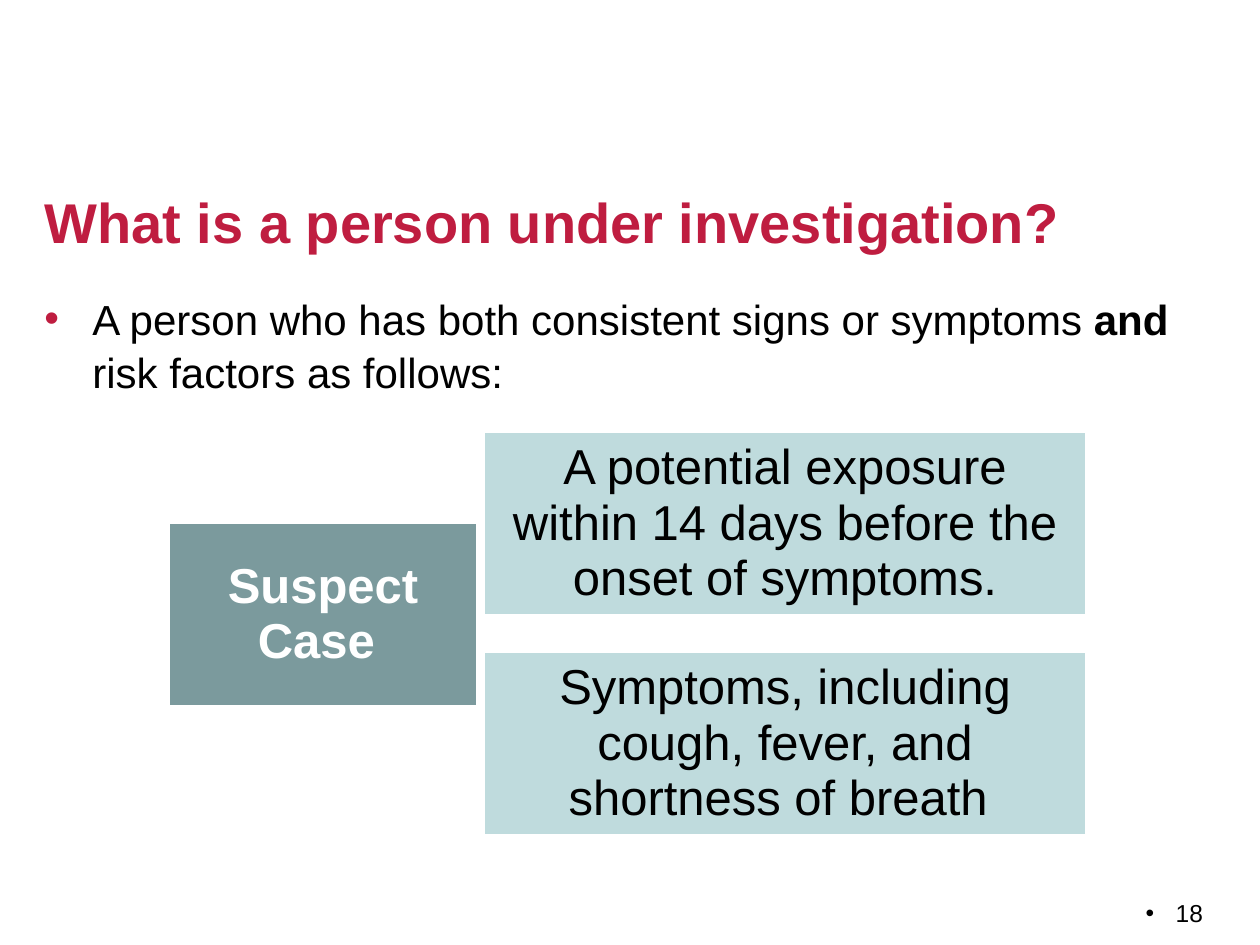
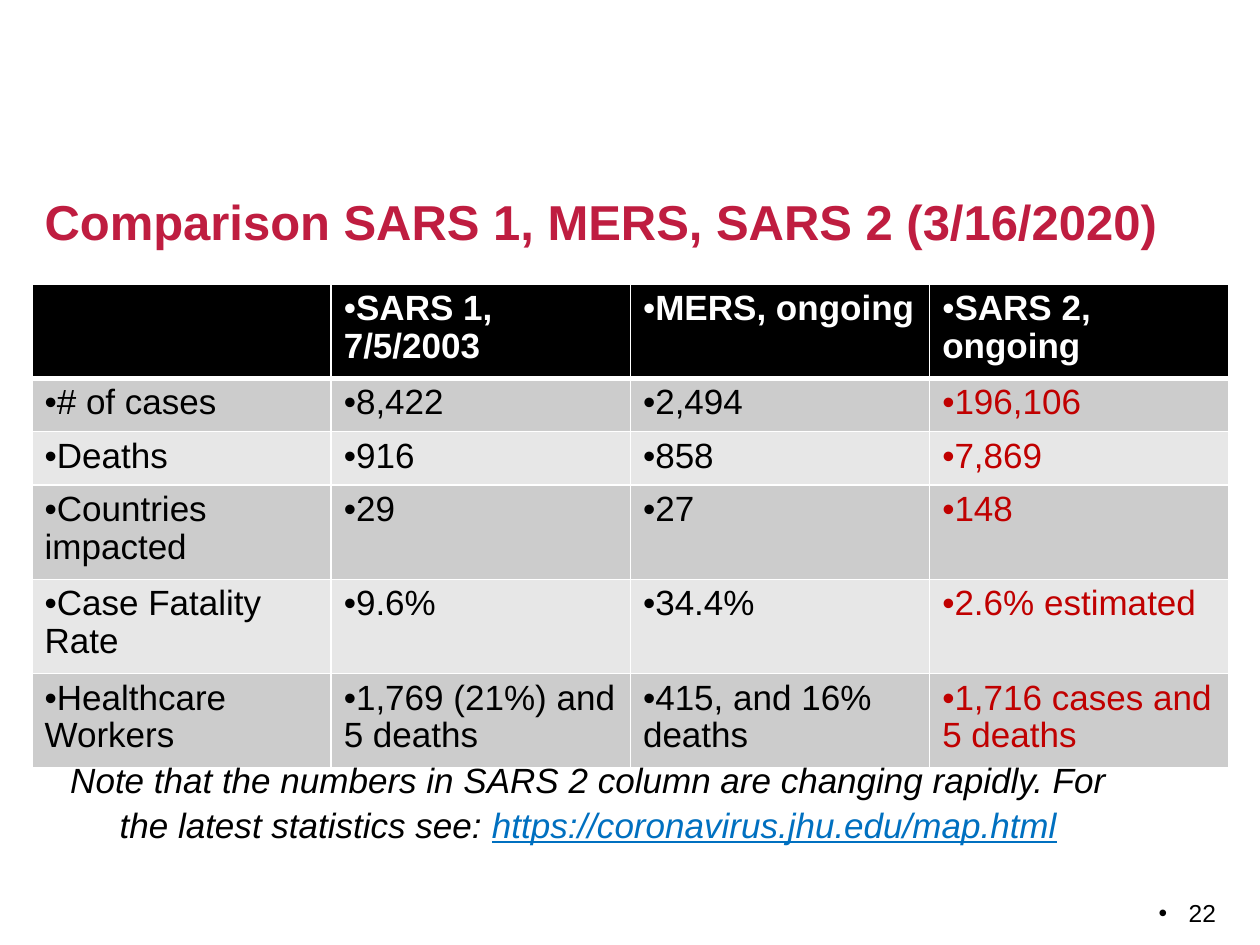
from lxml import etree
from pptx import Presentation
from pptx.dml.color import RGBColor
from pptx.enum.shapes import MSO_SHAPE
from pptx.enum.text import MSO_ANCHOR, PP_ALIGN
from pptx.oxml.ns import qn
from pptx.util import Emu, Pt

PX = 914400 / 126
FONT = "Arial"
RED = RGBColor(0xBF, 0x1D, 0x40)
ALERT = RGBColor(0xC0, 0x00, 0x00)
BLUE = RGBColor(0x00, 0x70, 0xC0)
TEAL = RGBColor(0x7B, 0x9A, 0x9D)
PALE = RGBColor(0xBF, 0xDB, 0xDD)
BLACK = RGBColor(0x00, 0x00, 0x00)
WHITE = RGBColor(0xFF, 0xFF, 0xFF)
DARK = RGBColor(0xCC, 0xCC, 0xCC)
LIGHT = RGBColor(0xE7, 0xE7, 0xE7)

ROWS = [
    ["", "SARS 1, 7/5/2003", "MERS, ongoing", "SARS 2, ongoing"],
    ["# of cases", "8,422", "2,494", "196,106"],
    ["Deaths", "916", "858", "7,869"],
    ["Countries impacted", "29", "27", "148"],
    ["Case Fatality Rate", "9.6%", "34.4%", "2.6% estimated"],
    ["Healthcare Workers", "1,769 (21%) and 5 deaths",
     "415, and 16% deaths", "1,716 cases and 5 deaths"],
]


def px(*sizes):
    return [Emu(round(size * PX)) for size in sizes]


def add_run(para, text, size, color=BLACK, bold=False, italic=False, line=False):
    run = para.add_run()
    run.text = text
    font = run.font
    font.name, font.size = FONT, Pt(size)
    font.bold, font.italic, font.underline = bold, italic, line
    font.color.rgb = color


def add_bullet(para, indent=0, color=None):
    """Give the paragraph a round bullet that hangs by indent px."""
    props = para._p.get_or_add_pPr()
    hang = round(indent * PX)
    props.set("marL", str(hang))
    props.set("indent", str(-hang))
    if color is not None:
        tint = etree.SubElement(props, qn("a:buClr"))
        etree.SubElement(tint, qn("a:srgbClr"), val=str(color))
    etree.SubElement(props, qn("a:buFont"), typeface=FONT)
    etree.SubElement(props, qn("a:buChar"), char="•")


def add_text(slide, x, y, w, h):
    frame = slide.shapes.add_textbox(*px(x, y, w, h)).text_frame
    frame.word_wrap = True
    return frame


def add_slide(deck, title, size, number, inset=13):
    """Start a slide with its title and number; inset is px right of the number."""
    slide = deck.slides.add_slide(deck.slide_layouts[5])
    head = slide.shapes.title
    head.left, head.top, head.width, head.height = px(32, 158, 1197, 126)
    head.text_frame.vertical_anchor = MSO_ANCHOR.MIDDLE
    para = head.text_frame.paragraphs[0]
    para.alignment = PP_ALIGN.LEFT
    add_run(para, title, size, RED, bold=True)

    frame = add_text(slide, 1061, 892, 168, 32)
    frame.margin_right = px(inset)[0]
    para = frame.paragraphs[0]
    para.alignment = PP_ALIGN.RIGHT
    add_bullet(para, 30)
    add_run(para, number, 14)
    return slide


def add_box(slide, text, x, y, w, fill, color=BLACK, bold=False):
    box = slide.shapes.add_shape(MSO_SHAPE.RECTANGLE, *px(x, y, w, 185))
    box.shadow.inherit = False
    box.fill.solid()
    box.fill.fore_color.rgb = fill
    box.line.color.rgb = WHITE
    box.line.width = Pt(2)
    frame = box.text_frame
    frame.word_wrap = True
    frame.vertical_anchor = MSO_ANCHOR.MIDDLE
    frame.margin_left, frame.margin_right = px(15, 15)
    frame.margin_top, frame.margin_bottom = px(15, 15)
    para = frame.paragraphs[0]
    para.alignment = PP_ALIGN.CENTER
    para.line_spacing = 0.94
    add_run(para, text, 28, color, bold)


def add_edges(cell, top, bottom):
    """Draw white cell borders; top and bottom are widths in points."""
    props = cell._tc.get_or_add_tcPr()
    for side, width in (("L", 1), ("R", 1), ("T", top), ("B", bottom)):
        edge = etree.SubElement(props, qn(f"a:ln{side}"), w=str(Pt(width)))
        fill = etree.SubElement(edge, qn("a:solidFill"))
        etree.SubElement(fill, qn("a:srgbClr"), val=str(WHITE))


def fill_cell(cell, text, row, col):
    add_edges(cell, 3 if row == 1 else 1, 3 if row == 0 else 1)
    cell.fill.solid()
    cell.fill.fore_color.rgb = BLACK if row == 0 else DARK if row % 2 else LIGHT
    if text:
        para = cell.text_frame.paragraphs[0]
        para.line_spacing = 0.97
        add_bullet(para)
        color = WHITE if row == 0 else ALERT if col == 3 else BLACK
        add_run(para, text, 20, color, bold=row == 0)


def add_grid(slide, rows):
    high = 52
    frame = slide.shapes.add_table(
        len(rows), len(rows[0]), *px(32, 284, 1197, high * len(rows)))
    for r, texts in enumerate(rows):
        frame.table.rows[r].height = px(high)[0]
        for c, text in enumerate(texts):
            fill_cell(frame.table.cell(r, c), text, r, c)


def add_case(deck):
    slide = add_slide(deck, "What is a person under investigation?", 32, "18", 26)
    para = add_text(slide, 32, 284, 1197, 608).paragraphs[0]
    para.line_spacing = 1.06
    add_bullet(para, 48, RED)
    add_run(para, "A person who has both consistent signs or symptoms ", 24)
    add_run(para, "and", 24, bold=True)
    add_run(para, " risk factors as follows:", 24)

    add_box(slide, "Suspect Case ", 168, 522, 310, TEAL, WHITE, bold=True)
    signs = ["A potential\u00a0exposure within 14 days before the onset of symptoms.",
             "Symptoms, including cough, fever, and shortness of breath "]
    for i, text in enumerate(signs):
        add_box(slide, text, 483, 431 + i * 220, 604, PALE)


def add_counts(deck):
    slide = add_slide(deck, "Comparison SARS 1, MERS, SARS 2 (3/16/2020)", 28, "22")
    add_grid(slide, ROWS)
    para = add_text(slide, 53, 750, 1071, 97).paragraphs[0]
    para.alignment = PP_ALIGN.CENTER
    para.line_spacing = 1.06
    add_run(para, "Note that the numbers in SARS 2 column are changing rapidly. "
            "For the latest statistics see: ", 20, italic=True)
    add_run(para, "https://coronavirus.jhu.edu/map.html", 20, BLUE,
            italic=True, line=True)


def main():
    deck = Presentation()
    deck.slide_width, deck.slide_height = px(1260, 945)
    add_case(deck)
    add_counts(deck)
    deck.save("out.pptx")


if __name__ == "__main__":
    main()
